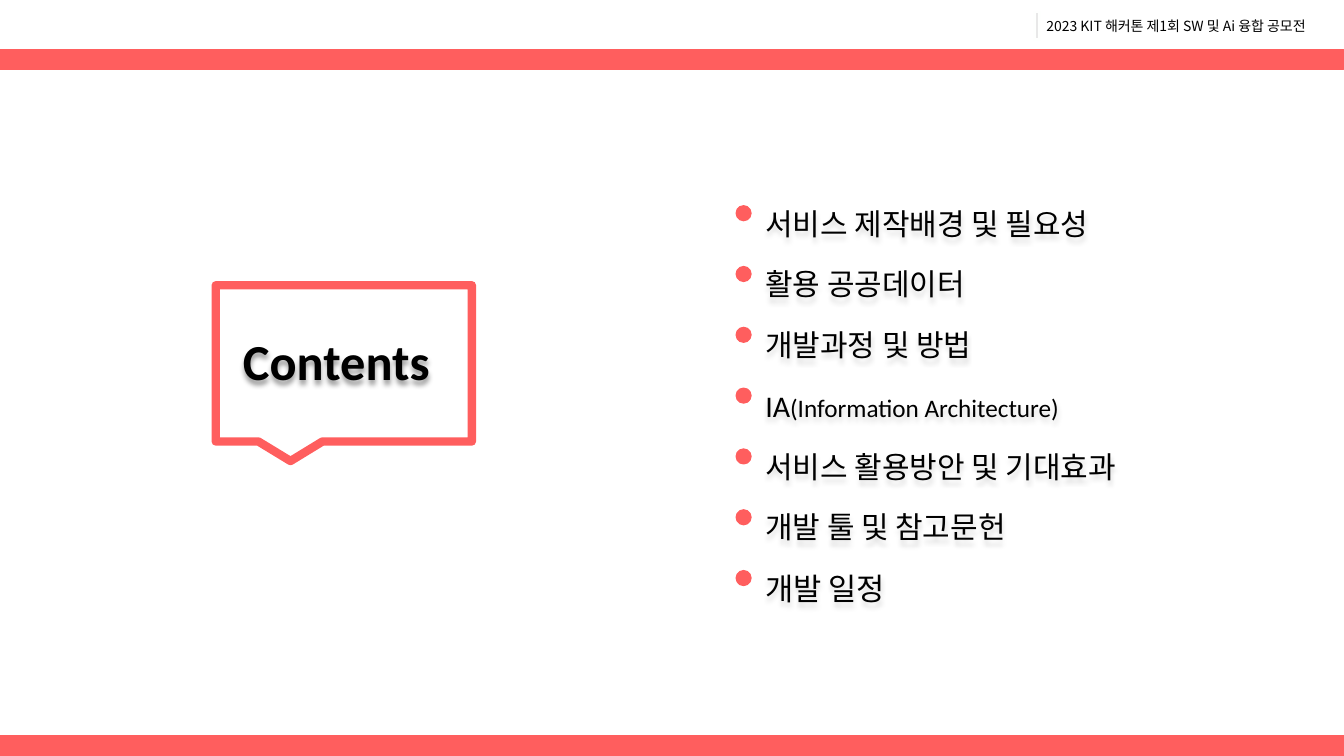
from dataclasses import dataclass

from lxml.etree import SubElement
from pptx import Presentation
from pptx.dml.color import RGBColor
from pptx.enum.shapes import MSO_SHAPE
from pptx.enum.text import MSO_ANCHOR, MSO_AUTO_SIZE, PP_ALIGN
from pptx.oxml.ns import qn
from pptx.util import Inches, Pt


@dataclass(frozen=True)
class Theme:
    """Colours, fonts and type sizes of the slide."""
    coral: RGBColor = RGBColor(0xFF, 0x5E, 0x5E)
    ink: RGBColor = RGBColor(0, 0, 0)
    divider: RGBColor = RGBColor(0xE8, 0xE8, 0xE8)
    divider_edge: RGBColor = RGBColor(0xFE, 0xFF, 0xFE)
    latin: str = "Calibri"
    korean: str = "Noto Sans CJK KR"
    header_size: float = 10
    title_size: float = 36
    topic_size: float = 21.4
    detail_size: float = 18
    schedule_size: float = 21.9


THEME = Theme()
SLIDE_WIDTH = 13.33
FIRST_DOT, LAST_DOT = 2.04, 5.66

TOPICS = [
    (["서비스 제작배경 및 필요성"], THEME.topic_size),
    (["활용 공공데이터"], THEME.topic_size),
    (["개발과정 및 방법"], THEME.topic_size),
    (["IA", "(Information Architecture)"], THEME.topic_size),
    (["서비스 활용방안 및 기대효과"], THEME.topic_size),
    (["개발 툴 및 참고문헌"], THEME.topic_size),
    (["개발 일정"], THEME.schedule_size),
]


def place(shape, left, top, width, height):
    """Move and size a shape in inches."""
    shape.left, shape.top = Inches(left), Inches(top)
    shape.width, shape.height = Inches(width), Inches(height)


def add_block(slide, kind, box, fill, edge, edge_width):
    """Add a preset shape, hollow when fill is None."""
    block = slide.shapes.add_shape(kind, *map(Inches, box))
    block.shadow.inherit = False
    if fill is None:
        block.fill.background()
    else:
        block.fill.solid()
        block.fill.fore_color.rgb = fill
    block.line.color.rgb = edge
    block.line.width = Pt(edge_width)
    return block


def style_paragraph(paragraph, size, latin, bold=False):
    """Set the font of a whole paragraph, Korean script included."""
    font = paragraph.font
    font.size, font.bold, font.name = Pt(size), bold, latin
    font.color.rgb = THEME.ink
    korean = SubElement(paragraph._p.pPr.find(qn("a:defRPr")), qn("a:ea"))
    korean.set("typeface", THEME.korean)


def add_soft_shadow(shape, opacity):
    """Give the text of an unfilled shape a soft shadow below it."""
    effects = SubElement(shape._element.spPr, qn("a:effectLst"))
    shadow = SubElement(effects, qn("a:outerShdw"), blurRad="50800",
                        dist="38100", dir="5400000", algn="t", rotWithShape="0")
    colour = SubElement(shadow, qn("a:srgbClr"), val=str(THEME.ink))
    SubElement(colour, qn("a:alpha"), val=str(opacity * 1000))


def add_header(slide):
    """Add the event name and the divider to its left."""
    header = slide.shapes.add_textbox(*map(Inches, (10.28, 0.12, 3.06, 0.27)))
    header.text_frame.word_wrap = True
    event = header.text_frame.paragraphs[0]
    event.text = "2023 KIT 해커톤 제1회 SW 및 Ai 융합 공모전"
    style_paragraph(event, THEME.header_size, THEME.korean)
    add_block(slide, MSO_SHAPE.RECTANGLE, (10.26, 0.12, 0.05, 0.27),
              THEME.divider, THEME.divider_edge, 2)


def add_title(slide):
    """Put the title inside its speech bubble."""
    bubble = add_block(slide, MSO_SHAPE.ROUNDED_RECTANGULAR_CALLOUT,
                       (2.14, 2.83, 2.54, 1.55), None, THEME.coral, 6)
    for index, value in enumerate((-0.208, 0.625, 0)):
        bubble.adjustments[index] = value
    title = slide.shapes.title
    place(title, 2.31, 3.1, 2.3, 1.02)
    add_soft_shadow(title, 40)
    frame = title.text_frame
    frame.auto_size = MSO_AUTO_SIZE.NONE
    frame.vertical_anchor = MSO_ANCHOR.MIDDLE
    heading = frame.paragraphs[0]
    heading.text = "Contents"
    heading.alignment = PP_ALIGN.LEFT
    heading.line_spacing = 0.9
    style_paragraph(heading, THEME.title_size, THEME.latin, bold=True)


def add_topics(slide):
    """Fill the body with the topics and set a dot beside each."""
    body = slide.placeholders[1]
    place(body, 7.49, 1.88, 4.44, 4.64)
    add_soft_shadow(body, 15)
    frame = body.text_frame
    frame.auto_size = MSO_AUTO_SIZE.NONE
    pitch = (LAST_DOT - FIRST_DOT) / (len(TOPICS) - 1)
    for index, (parts, size) in enumerate(TOPICS):
        topic = frame.add_paragraph() if index else frame.paragraphs[0]
        for part in parts:
            topic.add_run().text = part
        for detail in topic.runs[1:]:
            detail.font.size = Pt(THEME.detail_size)
        topic.line_spacing = 1.3
        topic.space_before = Pt(10 if index else 0)
        properties = topic._p.get_or_add_pPr()
        properties.set("marL", "0")
        properties.set("indent", "0")
        SubElement(properties, qn("a:buNone"))
        style_paragraph(topic, size, THEME.latin)
        add_block(slide, MSO_SHAPE.OVAL,
                  (7.3, FIRST_DOT + index * pitch, 0.15, 0.15),
                  THEME.coral, THEME.coral, 0.75)


def main():
    """Build the contents slide and save it."""
    deck = Presentation()
    deck.slide_width, deck.slide_height = Inches(SLIDE_WIDTH), Inches(7.5)
    slide = deck.slides.add_slide(deck.slide_layouts[1])
    add_header(slide)
    add_title(slide)
    for top, edge_width in ((0.49, 0.75), (7.3, 1)):
        add_block(slide, MSO_SHAPE.RECTANGLE, (0, top, SLIDE_WIDTH, 0.2),
                  THEME.coral, THEME.coral, edge_width)
    add_topics(slide)
    deck.save("out.pptx")


if __name__ == "__main__":
    main()
